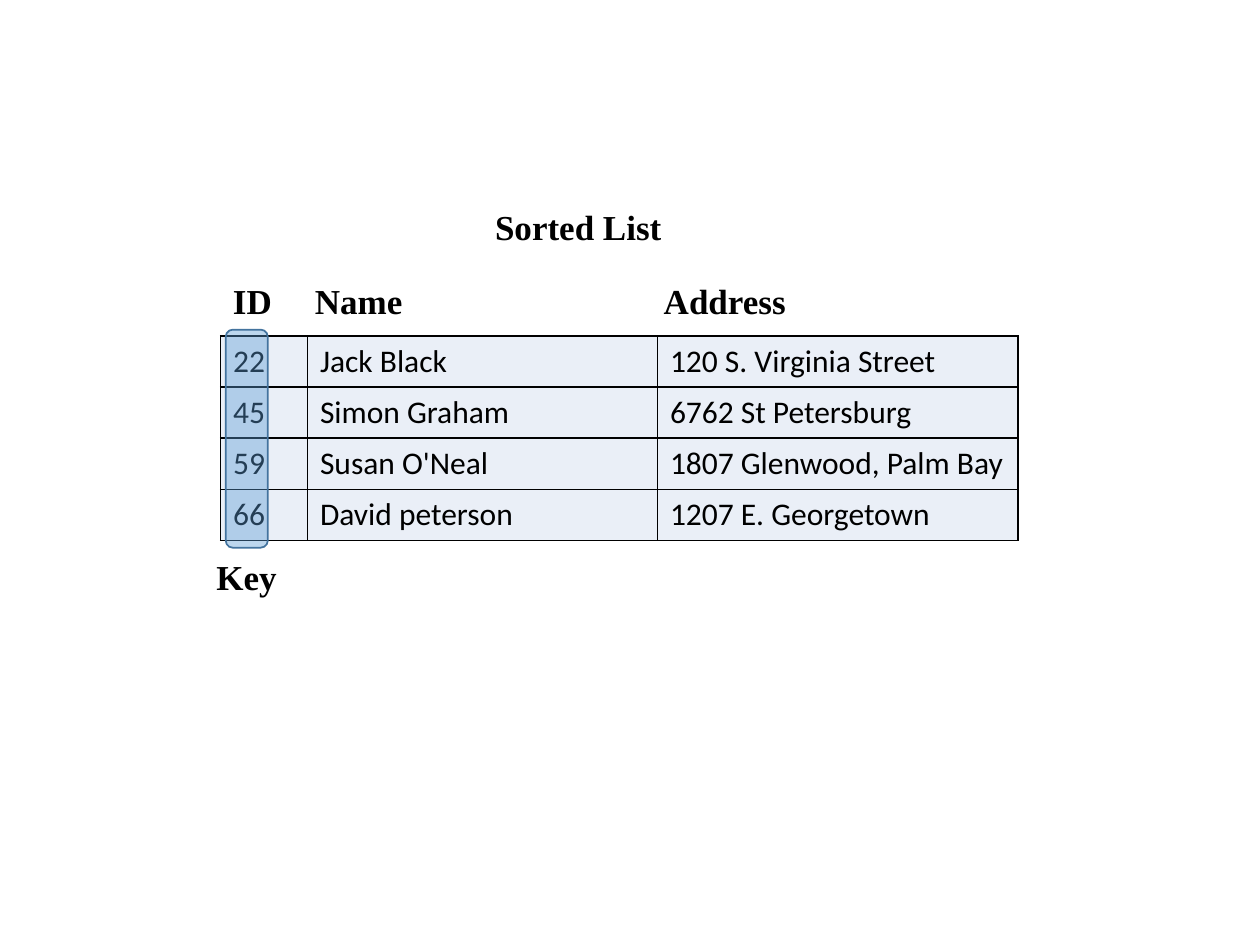
from dataclasses import dataclass
from lxml import etree
from pptx import Presentation
from pptx.dml.color import RGBColor
from pptx.enum import shapes, text
from pptx.oxml import ns
from pptx.util import Pt


@dataclass(frozen=True)
class Theme:
    """Colours, fonts and sizes of the slide."""
    ink: str = "000000"
    cell: str = "EAEFF7"
    key: str = "5B9BD5"
    edge: str = "43739E"
    head: str = "Times New Roman"
    body: str = "Calibri"
    big: int = 20
    small: int = 18
    rule: int = 1


T = Theme()
HEADS = ("ID", "Name", "Address")
ROWS = (
    ("22", "Jack Black", "120 S. Virginia Street"),
    ("45", "Simon Graham", "6762 St Petersburg"),
    ("59", "Susan O'Neal", "1807 Glenwood, Palm Bay"),
    ("66", "David peterson", "1207 E. Georgetown"),
)
COLS = (49.7, 200, 206)


def write(frame, words, font=T.body, size=T.small, bold=False):
    """Put formatted words into a text frame."""
    run = frame.paragraphs[0].add_run()
    run.text = words
    run.font.name, run.font.size, run.font.bold = font, Pt(size), bold
    run.font.color.rgb = RGBColor.from_string(T.ink)


def label(slide, words, x, y, w, h=31.5):
    """Add a bold one-line label in the given box."""
    frame = slide.shapes.add_textbox(Pt(x), Pt(y), Pt(w), Pt(h)).text_frame
    frame.word_wrap = False
    frame.auto_size = text.MSO_AUTO_SIZE.SHAPE_TO_FIT_TEXT
    write(frame, words, font=T.head, size=T.big, bold=True)


def border(cell):
    """Draw a thin rule on all four sides of a cell."""
    props = cell._tc.get_or_add_tcPr()
    for spot, side in enumerate(("lnL", "lnR", "lnT", "lnB")):
        line = etree.Element(ns.qn("a:" + side), w=str(Pt(T.rule)))
        fill = etree.SubElement(line, ns.qn("a:solidFill"))
        etree.SubElement(fill, ns.qn("a:srgbClr"), val=T.ink)
        props.insert(spot, line)


def grid(slide, x, y, w, h):
    """Add the table of records in the given box."""
    table = slide.shapes.add_table(
        len(ROWS), len(COLS), Pt(x), Pt(y), Pt(w), Pt(h)).table
    table.first_row = table.horz_banding = False
    for col, wide in zip(table.columns, COLS):
        col.width = Pt(wide)
    for row, words in zip(table.rows, ROWS):
        row.height = Pt(h / len(ROWS))
        for cell, word in zip(row.cells, words):
            cell.fill.solid()
            cell.fill.fore_color.rgb = RGBColor.from_string(T.cell)
            border(cell)
            write(cell.text_frame, word)


def marker(slide, x, y, w, h):
    """Lay a see-through rounded bar over the key column."""
    bar = slide.shapes.add_shape(
        shapes.MSO_SHAPE.ROUNDED_RECTANGLE, Pt(x), Pt(y), Pt(w), Pt(h))
    bar.shadow.inherit = False
    bar.fill.solid()
    bar.fill.fore_color.rgb = RGBColor.from_string(T.key)
    tint = bar._element.spPr.find(ns.qn("a:solidFill"))[0]
    etree.SubElement(tint, ns.qn("a:alpha"), val="40000")
    bar.line.color.rgb = RGBColor.from_string(T.edge)
    bar.line.width = Pt(T.rule)


def sorted_list(slide, x, y, w, h):
    """Place the table, its headings, key bar and title around a box."""
    grid(slide, x, y, w, h)
    for word, dx, wide in zip(HEADS, (0, 46.8, 246.2), (36.7, 64.8, 85)):
        label(slide, word, x + dx, y - 35.8, wide)
    marker(slide, x + 3, y - 3.6, 24, h + 7.8)
    label(slide, "Key", x - 9.4, y + h + 5, 49)
    label(slide, "Sorted List", x + 149.8, y - 78.2, 110.2)


def main():
    """Build and save the slide."""
    deck = Presentation()
    deck.slide_width, deck.slide_height = Pt(720), Pt(540)
    slide = deck.slides.add_slide(deck.slide_layouts[6])
    sorted_list(slide, 126, 192, sum(COLS), 116.8)
    deck.save("out.pptx")


main()
